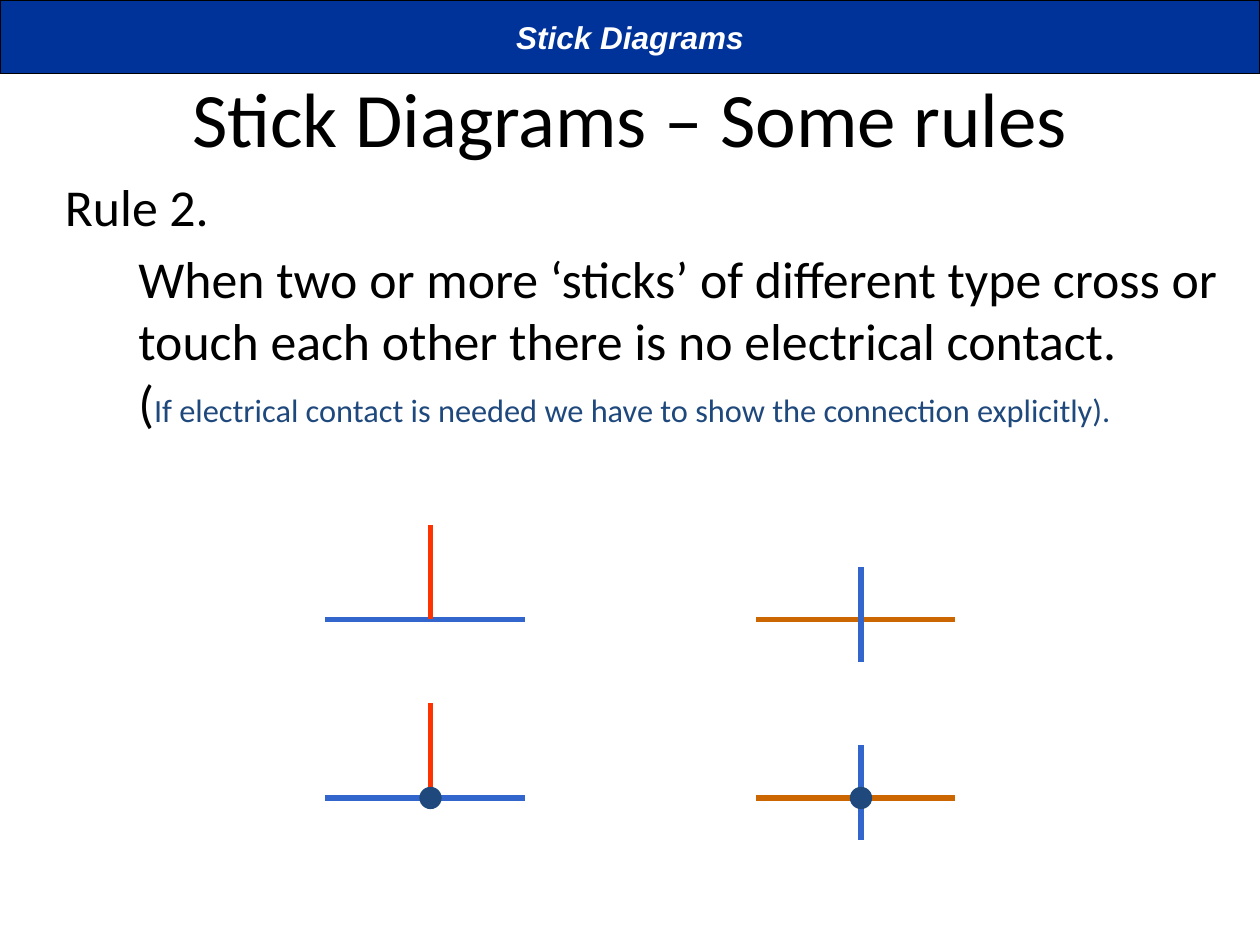
"""Build the stick diagram slide on Rule 2: crossing sticks of different type."""
from lxml import etree
from pptx import Presentation
from pptx.dml.color import RGBColor
from pptx.enum.shapes import MSO_CONNECTOR, MSO_SHAPE
from pptx.enum.text import MSO_ANCHOR, PP_ALIGN
from pptx.oxml.ns import qn
from pptx.util import Pt

STRAIGHT = MSO_CONNECTOR.STRAIGHT
OVAL, RECTANGLE = MSO_SHAPE.OVAL, MSO_SHAPE.RECTANGLE
MIDDLE, CENTER = MSO_ANCHOR.MIDDLE, PP_ALIGN.CENTER

THEME = {
    "text": "000000", "note": "1F497D", "banner": "003399", "banner_text": "FFFFFF",
    "blue": "3366CC", "red": "FF3300", "orange": "CC6600", "dot": "1F497D",
    "heading_font": "Calibri", "banner_font": "Arial",
    "title_size": 44, "body_size": 29.6, "note_size": 18.5, "banner_size": 18,
    "stick_width": 3, "outline_width": 0.75,
}

BANNER = "Stick Diagrams"
TITLE = "Stick Diagrams – Some rules"
RULE_NAME = "Rule 2."
RULE = "When two or more ‘sticks’ of different type cross or touch each other there is no electrical contact. "
NOTE = "If electrical contact is needed we have to show the connection explicitly)."

CROSSINGS = [
    {"left": 186, "joint": 246, "above": 54 + 0, "below": 0, "across": "blue", "upright": "red"},
    {"left": 432, "joint": 492, "above": 30, "below": 24, "across": "orange", "upright": "blue"},
]
ROWS = [{"y": 354, "connected": False}, {"y": 456, "connected": True}]
STICK_LENGTH = 114
DOT_SIZE = 12
INDENT = 42


def color(name):
    return RGBColor.from_string(THEME[name])


def add_run(paragraph, text, size, color_name, font="heading_font"):
    run = paragraph.add_run()
    run.text = text
    run.font.name = THEME[font]
    run.font.size = Pt(THEME[size])
    run.font.color.rgb = color(color_name)
    return run


def add_shape(slide, kind, box, fill, line):
    shape = slide.shapes.add_shape(kind, *map(Pt, box))
    shape.shadow.inherit = False
    shape.fill.solid()
    shape.fill.fore_color.rgb = color(fill)
    shape.line.color.rgb = color(line)
    shape.line.width = Pt(THEME["outline_width"])
    return shape


def add_stick(slide, start, end, color_name):
    stick = slide.shapes.add_connector(STRAIGHT, *map(Pt, start + end))
    stick.line.color.rgb = color(color_name)
    stick.line.width = Pt(THEME["stick_width"])
    etree.SubElement(stick._element.spPr, qn("a:effectLst"))


def add_title(slide):
    title = slide.shapes.title
    title.left, title.top, title.width, title.height = map(Pt, (36, 21.6, 648, 90))
    title.text_frame.vertical_anchor = MIDDLE
    paragraph = title.text_frame.paragraphs[0]
    paragraph.alignment = CENTER
    add_run(paragraph, TITLE, "title_size", "text")


def add_rule(slide):
    frame = slide.shapes.add_textbox(*map(Pt, (30, 96, 678, 192))).text_frame
    frame.word_wrap = True
    add_run(frame.paragraphs[0], RULE_NAME, "body_size", "text")
    paragraph = frame.add_paragraph()
    paragraph._p.get_or_add_pPr().set("marL", str(Pt(INDENT)))
    paragraph.space_before = Pt(6)
    add_run(paragraph, RULE, "body_size", "text")
    paragraph.add_line_break()
    add_run(paragraph, "(", "body_size", "text")
    add_run(paragraph, NOTE, "note_size", "note")


def add_crossing(slide, crossing, row):
    left, joint, y = crossing["left"], crossing["joint"], row["y"]
    add_stick(slide, (left, y), (left + STICK_LENGTH, y), crossing["across"])
    add_stick(slide, (joint, y - crossing["above"]), (joint, y + crossing["below"]), crossing["upright"])
    if row["connected"]:
        corner = (joint - DOT_SIZE / 2, y - DOT_SIZE / 2)
        add_shape(slide, OVAL, corner + (DOT_SIZE, DOT_SIZE), "dot", "dot")


def add_banner(slide):
    banner = add_shape(slide, RECTANGLE, (0, 0, 720, 42), "banner", "text")
    banner.text_frame.word_wrap = False
    banner.text_frame.vertical_anchor = MIDDLE
    paragraph = banner.text_frame.paragraphs[0]
    paragraph.alignment = CENTER
    run = add_run(paragraph, BANNER, "banner_size", "banner_text", "banner_font")
    run.font.bold = run.font.italic = True


def main():
    presentation = Presentation()
    presentation.slide_width, presentation.slide_height = Pt(720), Pt(540)
    slide = presentation.slides.add_slide(presentation.slide_layouts[5])
    add_title(slide)
    add_rule(slide)
    for row in ROWS:
        for crossing in CROSSINGS:
            add_crossing(slide, crossing, row)
    add_banner(slide)
    presentation.save("out.pptx")


if __name__ == "__main__":
    main()
